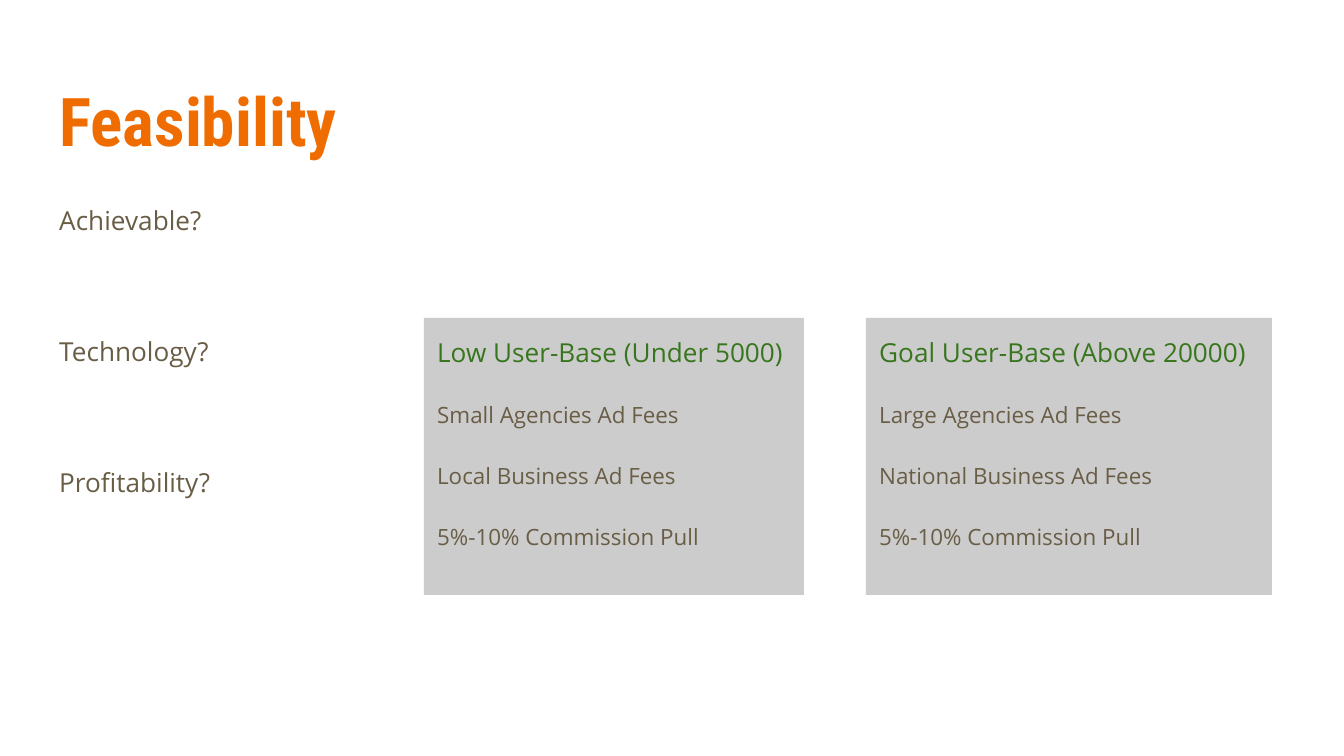
from pptx import Presentation
from pptx.dml.color import RGBColor
from pptx.enum.shapes import MSO_SHAPE
from pptx.enum.text import MSO_ANCHOR, MSO_AUTO_SIZE, PP_ALIGN
from pptx.util import Emu, Inches, Pt

RECT = MSO_SHAPE.RECTANGLE
TOP = MSO_ANCHOR.TOP
FIXED = MSO_AUTO_SIZE.NONE
LEFT = PP_ALIGN.LEFT
SCALE = 914400 / 134.4
ORANGE, BROWN, GREEN, GRAY = "EF6C00", "695D46", "38761D", "CCCCCC"
HEAD, BODY = "Roboto Condensed", "Open Sans"

TOPICS = ["Achievable?", "Technology?", "Profitability?"]
CARDS = [
    (424, 380, ["Low User-Base (Under 5000)", "Small Agencies Ad Fees",
                "Local Business Ad Fees", "5%-10% Commission Pull"]),
    (866, 406, ["Goal User-Base (Above 20000)", "Large Agencies Ad Fees",
                "National Business Ad Fees", "5%-10% Commission Pull"]),
]


def px(num):
    return Emu(round(num * SCALE))


def paint(code):
    return RGBColor.from_string(code)


def set_frame(shape):
    frame = shape.text_frame
    frame.word_wrap = True
    frame.auto_size = FIXED
    frame.vertical_anchor = TOP
    frame.margin_left = frame.margin_right = Inches(0.1)
    frame.margin_top = frame.margin_bottom = Inches(0.1)
    return frame


def style(para, face, size, color, bold=False):
    para.alignment = LEFT
    for run in para.runs:
        font = run.font
        font.name = face
        font.size = Pt(size)
        font.bold = bold
        font.color.rgb = paint(color)


def add_lines(shape, lines, gap):
    frame = set_frame(shape)
    frame.text = "\n".join(lines)
    for para in frame.paragraphs:
        para.line_spacing = 1.15
        para.space_after = Pt(gap)
        style(para, BODY, 14, BROWN)
    return frame.paragraphs


def add_title(slide, text):
    title = slide.shapes.title
    title.left, title.top = px(46), px(66)
    title.width, title.height = px(1253), px(103)
    frame = set_frame(title)
    frame.text = text
    style(frame.paragraphs[0], HEAD, 36, ORANGE, True)


def add_topics(slide):
    box = slide.shapes.add_textbox(px(46), px(186), px(204), px(485))
    add_lines(box, TOPICS, 51)


def add_card(slide, left, width, lines):
    card = slide.shapes.add_shape(RECT, px(left), px(318), px(width), px(277))
    card.shadow.inherit = False
    card.fill.solid()
    card.fill.fore_color.rgb = paint(GRAY)
    card.line.fill.background()
    first, *rest = add_lines(card, lines, 16)
    style(first, BODY, 14, GREEN)
    for para in rest:
        style(para, BODY, 12, BROWN)


def main():
    deck = Presentation()
    deck.slide_width, deck.slide_height = px(1344), px(756)
    slide = deck.slides.add_slide(deck.slide_layouts[5])
    add_title(slide, "Feasibility")
    add_topics(slide)
    for left, width, lines in CARDS:
        add_card(slide, left, width, lines)
    deck.save("out.pptx")


if __name__ == "__main__":
    main()
